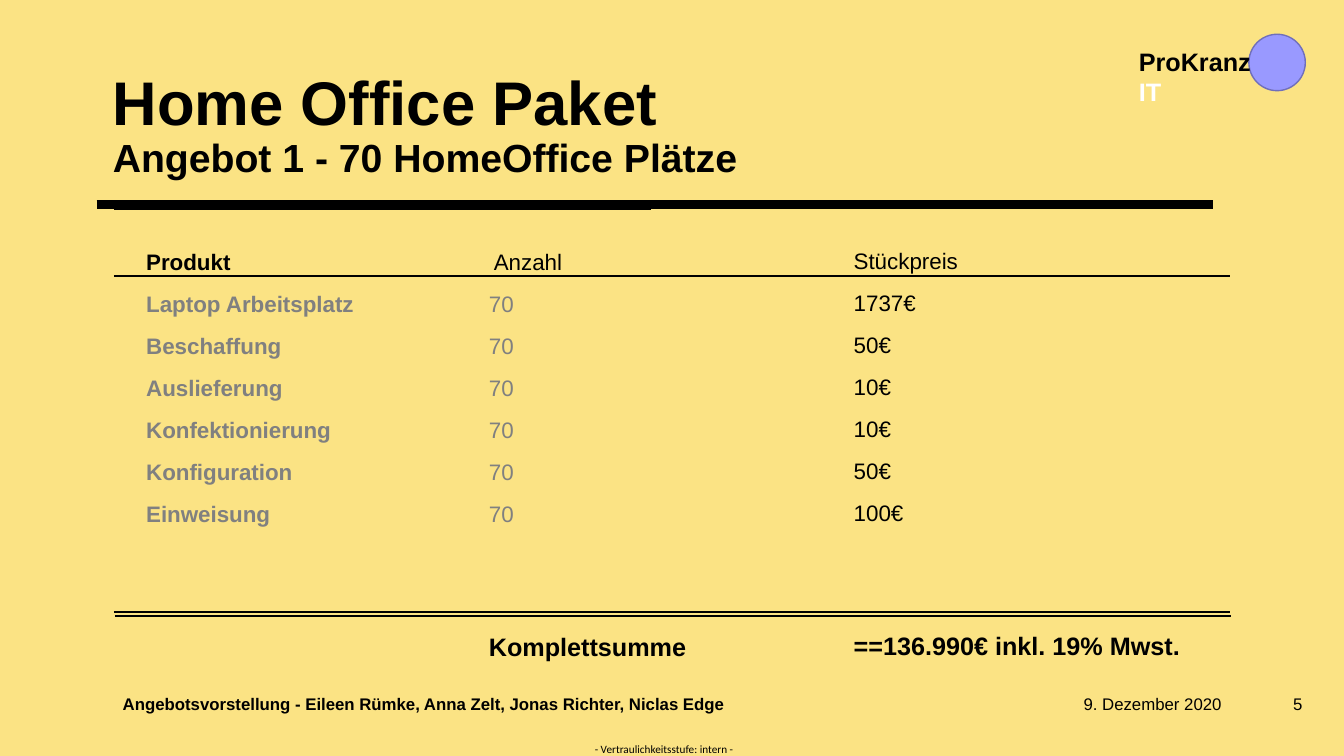
"""Build the offer slide for the home office package."""
from lxml import etree
from pptx import Presentation
from pptx.dml.color import RGBColor
from pptx.enum.shapes import MSO_CONNECTOR, MSO_SHAPE
from pptx.enum.text import MSO_ANCHOR, MSO_AUTO_SIZE, PP_ALIGN
from pptx.oxml.ns import qn
from pptx.util import Pt

STRAIGHT = MSO_CONNECTOR.STRAIGHT
OVAL = MSO_SHAPE.OVAL
TOP, MIDDLE, BOTTOM = MSO_ANCHOR.TOP, MSO_ANCHOR.MIDDLE, MSO_ANCHOR.BOTTOM
LEFT, CENTER, RIGHT = PP_ALIGN.LEFT, PP_ALIGN.CENTER, PP_ALIGN.RIGHT
NO_AUTOFIT = MSO_AUTO_SIZE.NONE

BLACK, GRAY, WHITE = "000000", "808080", "FFFFFF"
SAND, LILAC, VIOLET = "FBE384", "9999FF", "706FBB"
ROW_GAP, TOTAL_GAP = 10.8, 74.5

TITLE = [("Home Office Paket", 44), ("Angebot 1 - 70 HomeOffice Plätze", 28)]
BRAND = [("ProKranz", BLACK), ("IT", WHITE)]
ITEMS = [
    ("Laptop Arbeitsplatz", "70", "1737€"),
    ("Beschaffung", "70", "50€"),
    ("Auslieferung", "70", "10€"),
    ("Konfektionierung", "70", "10€"),
    ("Konfiguration", "70", "50€"),
    ("Einweisung", "70", "100€"),
]
COLUMNS = [
    ("Produkt", "", (104.4, 177.1, 231.1, 322.6), GRAY, True),
    (" Anzahl", "Komplettsumme", (349.2, 177.1, 236.9, 301), GRAY, False),
    ("Stückpreis", "==136.990€ inkl. 19% Mwst.", (609.8, 176.4, 252.7, 286.6), BLACK, False),
]
FOOTERS = [
    ("Angebotsvorstellung - Eileen Rümke, Anna Zelt, Jonas Richter, Niclas Edge",
     (80.6, 495.4, 687.6, 14.4), (7.2, 3.6), LEFT, 12, "Arial", True),
    ("9. Dezember 2020", (774, 495.4, 120.2, 14.4), (0, 3.6), LEFT, 12, "Arial", False),
    ("5", (905, 495.4, 32.4, 14.4), (7.2, 3.6), RIGHT, 12, "Arial", False),
    ("- Vertraulichkeitsstufe: intern -",
     (422.6, 530.6, 103.7, 9.4), (0, 0), CENTER, 8, "Calibri", False),
]
RULES = [
    (81.4, 465.1, 146.9, 6),
    (69.1, 866.2, 146.2, 6),
    (81.4, 878.4, 197.3, 1.5),
    (82.1, 879.1, 439.9, 1.5),
    (81.4, 878.4, 437, 1.5),
]


def color(value):
    """Turn a hex string into a colour."""
    return RGBColor.from_string(value)


def points(values):
    """Turn numbers into lengths in points."""
    return [Pt(value) for value in values]


def format_frame(frame, insets=(0, 0), anchor=TOP):
    """Set wrapping, margins and anchor of a text frame."""
    frame.auto_size = NO_AUTOFIT
    frame.word_wrap = True
    frame.vertical_anchor = anchor
    frame.margin_left = frame.margin_right = Pt(insets[0])
    frame.margin_top = frame.margin_bottom = Pt(insets[1])


def add_frame(slide, box, insets=(0, 0), anchor=TOP):
    """Add a text box and return its text frame."""
    frame = slide.shapes.add_textbox(*points(box)).text_frame
    format_frame(frame, insets, anchor)
    return frame


def add_run(paragraph, text, size, fill=BLACK, bold=False, font="Arial"):
    """Add one formatted run."""
    run = paragraph.add_run()
    run.text = text
    run.font.name, run.font.size, run.font.bold = font, Pt(size), bold
    run.font.color.rgb = color(fill)


def add_rule(slide, left, right, top, weight):
    """Add a horizontal black line."""
    rule = slide.shapes.add_connector(STRAIGHT, *points((left, top, right, top)))
    rule.line.color.rgb = color(BLACK)
    rule.line.width = Pt(weight)
    etree.SubElement(rule._element.spPr, qn("a:effectLst"))


def add_title(slide):
    """Place and fill the title placeholder."""
    title = slide.shapes.title
    title.left, title.top, title.width, title.height = points((80.6, 78.5, 478.8, 51.1))
    format_frame(title.text_frame, anchor=BOTTOM)
    paragraph = title.text_frame.paragraphs[0]
    paragraph.alignment, paragraph.line_spacing = LEFT, 0.9
    for index, (text, size) in enumerate(TITLE):
        if index:
            paragraph.add_line_break()
        add_run(paragraph, text, size, bold=True)


def add_brand(slide):
    """Add the disc and the two-line company name."""
    disc = slide.shapes.add_shape(OVAL, *points((892.1, 24.5, 40.3, 40.3)))
    disc.shadow.inherit = False
    disc.fill.solid()
    disc.fill.fore_color.rgb = color(LILAC)
    disc.line.color.rgb = color(VIOLET)
    disc.line.width = Pt(1)
    frame = add_frame(slide, (806.4, 29.5, 113, 50), (7.2, 3.6))
    for index, (text, fill) in enumerate(BRAND):
        paragraph = frame.add_paragraph() if index else frame.paragraphs[0]
        add_run(paragraph, text, 18, fill, True)


def add_column(slide, heading, total, box, fill, bold, cells):
    """Add one column of the offer with heading, items and total."""
    rows = [(heading, 16, BLACK, bold, ROW_GAP)]
    rows += [(cell, 16, fill, bold, ROW_GAP) for cell in cells]
    if total:
        rows.append((total, 18, BLACK, True, TOTAL_GAP))
    frame = add_frame(slide, box)
    for index, (text, size, ink, heavy, gap) in enumerate(rows):
        paragraph = frame.add_paragraph() if index else frame.paragraphs[0]
        paragraph.space_before = Pt(gap)
        add_run(paragraph, text, size, ink, heavy)


presentation = Presentation()
presentation.slide_width, presentation.slide_height = Pt(960), Pt(540)
slide = presentation.slides.add_slide(presentation.slide_layouts[5])
slide.background.fill.solid()
slide.background.fill.fore_color.rgb = color(SAND)

add_title(slide)
add_brand(slide)
for rule in RULES:
    add_rule(slide, *rule)
for column, cells in zip(COLUMNS, zip(*ITEMS)):
    add_column(slide, *column, cells)
for text, box, insets, alignment, size, font, bold in FOOTERS:
    paragraph = add_frame(slide, box, insets, MIDDLE).paragraphs[0]
    paragraph.alignment = alignment
    add_run(paragraph, text, size, bold=bold, font=font)

presentation.save("out.pptx")
